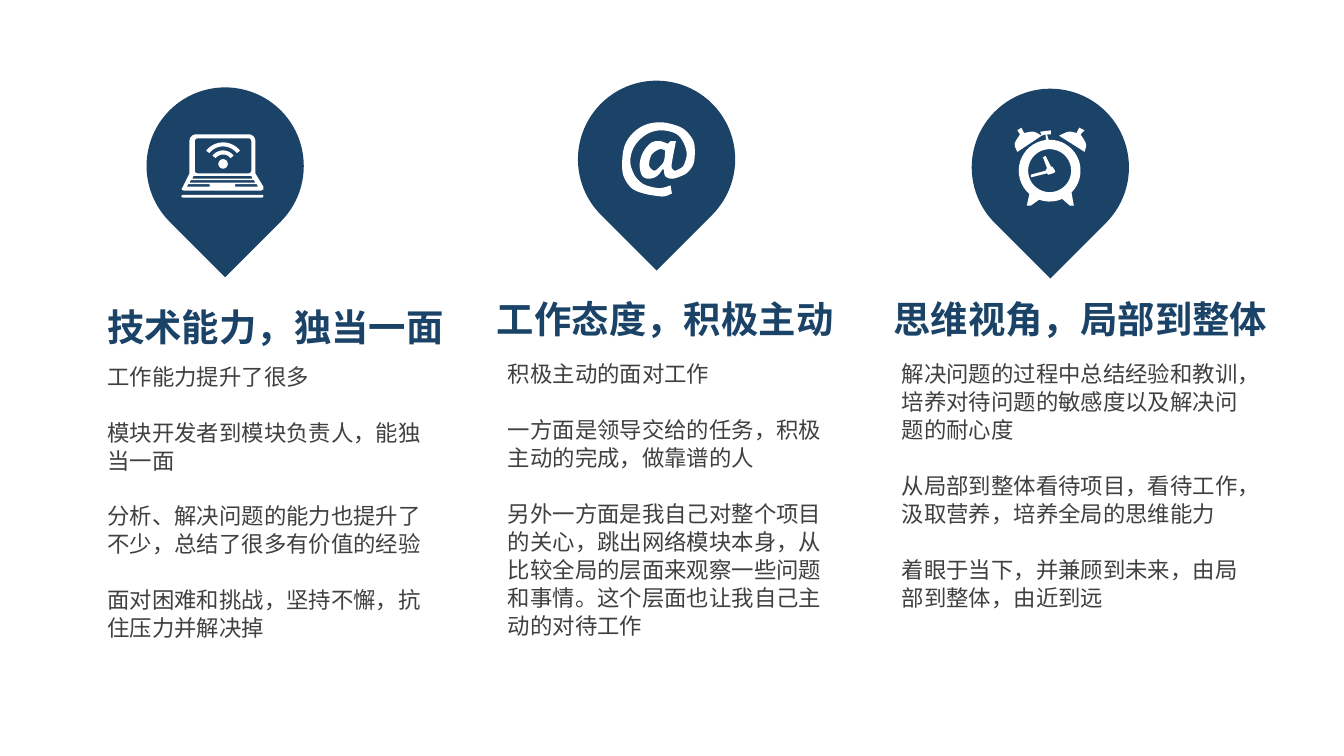
from math import cos, radians, sin

from pptx import Presentation
from pptx.dml.color import RGBColor
from pptx.enum import shapes, text
from pptx.util import Inches, Pt

NAVY, GRAY, WHITE = "1B4367", "404040", "FFFFFF"
FONT = "Noto Sans CJK SC"
SLIDE_WIDTH = Inches(10)
SLIDE_HEIGHT = SLIDE_WIDTH * 9 // 16
PIN_SIZE = 1.17
TITLE = {"size": Pt(20), "bold": True}
BODY = {"size": Pt(12), "bold": False}


def arc(x, y, radius, start=0, end=360):
    """Points on a circle, in degrees clockwise from the right."""
    steps = max(4, abs(end - start) // 8)
    angles = [radians(start + (end - start) * i / steps) for i in range(steps + 1)]
    return [(x + radius * cos(a), y + radius * sin(a)) for a in angles]


def band(x, y, outer, inner):
    return arc(x, y, outer, 218, 322) + arc(x, y, inner, 322, 218)


def rounded(left, top, width, height, radius):
    right, bottom = left + width - radius, top + height - radius
    left, top = left + radius, top + radius
    corners = [(right, bottom), (left, bottom), (left, top), (right, top)]
    return [point for i, (x, y) in enumerate(corners)
            for point in arc(x, y, radius, 90 * i, 90 * i + 90)]


def curve(*points, steps=5):
    """A smooth (Catmull-Rom) line through the points."""
    padded = [points[0], *points, points[-1]]
    line = [points[0]]
    for a, b, c, d in zip(padded, padded[1:], padded[2:], padded[3:]):
        for t in (i / steps for i in range(1, steps + 1)):
            line.append(tuple(
                q + t * (r - p) / 2 + t * t * (2 * p - 5 * q + 4 * r - s) / 2
                + t ** 3 * (3 * q - p - 3 * r + s) / 2
                for p, q, r, s in zip(a, b, c, d)))
    return line


LAPTOP = [
    band(1.66, 1.22, 0.16, 0.13),
    band(1.66, 1.22, 0.1, 0.07),
    arc(1.66, 1.22, 0.035),
    rounded(1.35, 1.45, 0.61, 0.02, 0.01),
    [(1.41, 1.29), *arc(1.46, 1.05, 0.05, 180, 270), *arc(1.85, 1.05, 0.05, 270, 360),
     (1.9, 1.29), (1.96, 1.39), (1.96, 1.41), (1.94, 1.42),
     (1.37, 1.42), (1.35, 1.41), (1.36, 1.39)],
    rounded(1.45, 1.03, 0.42, 0.26, 0.02),
    [(1.44, 1.31), (1.87, 1.31), (1.88, 1.33), (1.43, 1.33)],
    [(1.42, 1.34), (1.89, 1.34), (1.9, 1.36), (1.41, 1.36)],
    [(1.4, 1.37), (1.56, 1.37), (1.56, 1.39), (1.39, 1.39)],
    [(1.75, 1.37), (1.91, 1.37), (1.92, 1.39), (1.75, 1.39)],
]
AT_SIGN = [
    [(4.99, 1.05),
     *curve((5.03, 1.05), (5, 1.21), (5, 1.25), (5.02, 1.27), (5.05, 1.26), (5.08, 1.24),
            (5.1, 1.2), (5.11, 1.14), (5.09, 1.07), (5.05, 1.01), (4.99, 0.98),
            (4.91, 0.97), (4.83, 0.99), (4.76, 1.04), (4.71, 1.11), (4.69, 1.2),
            (4.71, 1.28), (4.75, 1.34), (4.81, 1.38), (4.91, 1.4), (4.99, 1.38)),
     *curve((5, 1.44), (4.95, 1.46), (4.9, 1.46), (4.79, 1.44), (4.7, 1.4), (4.64, 1.31),
            (4.63, 1.2), (4.65, 1.08), (4.71, 0.99), (4.8, 0.93), (4.91, 0.91),
            (5.02, 0.93), (5.1, 0.97), (5.16, 1.05), (5.17, 1.14), (5.16, 1.22),
            (5.12, 1.28), (5.07, 1.31), (5, 1.33), (4.95, 1.31), (4.94, 1.26)),
     *curve((4.93, 1.26), (4.89, 1.31), (4.83, 1.33), (4.78, 1.31), (4.76, 1.24),
            (4.77, 1.17), (4.8, 1.11), (4.85, 1.06), (4.91, 1.05), (4.97, 1.07))],
    curve((4.95, 1.12), (4.91, 1.11), (4.85, 1.15), (4.83, 1.22), (4.84, 1.25),
          (4.87, 1.27), (4.9, 1.25), (4.94, 1.2), (4.95, 1.12)),
]
CLOCK = [
    [*arc(7.81, 1.27, 0.23, 131, 263),
     (7.78, 1), (7.75, 1.01), (7.74, 0.98), (7.82, 0.97), (7.82, 1), (7.79, 1),
     *arc(7.81, 1.27, 0.23, 268, 405), (7.99, 1.53), (7.96, 1.53),
     *arc(7.81, 1.27, 0.23, 66, 110), (7.67, 1.53), (7.64, 1.53)],
    arc(7.81, 1.27, 0.16),
    [*curve((8.01, 0.99), (7.95, 0.98), (7.88, 1.01)),
     *curve((8.07, 1.13), (8.08, 1.07), (8.04, 1)), (8.07, 0.97), (8.03, 0.95)],
    [(7.62, 0.99), (7.6, 0.95), (7.57, 0.97),
     *curve((7.59, 1), (7.55, 1.07), (7.57, 1.13)),
     *curve((7.75, 1.01), (7.69, 0.98), (7.62, 0.99))],
    [(7.78, 1.27), (7.67, 1.3), (7.67, 1.32), (7.79, 1.29),
     *curve((7.8, 1.3), (7.85, 1.28), (7.83, 1.24)),
     (7.82, 1.24), (7.78, 1.16), (7.76, 1.17), (7.79, 1.25)],
]

# Boxes are left, top, width, height in inches
COLUMNS = [
    {"pin": (1.09, 0.65), "icon": LAPTOP,
     "title": "技术能力，独当一面", "title_box": (0.71, 2.22, 2.68, 0.41),
     "body_box": (0.73, 2.65, 2.5, 2.59),
     "body": ["工作能力提升了很多",
              "模块开发者到模块负责人，能独当一面",
              "分析、解决问题的能力也提升了不少，总结了很多有价值的经验",
              "面对困难和挑战，坚持不懈，抗住压力并解决掉"]},
    {"pin": (4.3, 0.6), "icon": AT_SIGN,
     "title": "工作态度，积极主动", "title_box": (3.61, 2.16, 2.68, 0.41),
     "body_box": (3.71, 2.63, 2.5, 2.8),
     "body": ["积极主动的面对工作",
              "一方面是领导交给的任务，积极主动的完成，做靠谱的人",
              "另外一方面是我自己对整个项目的关心，跳出网络模块本身，从比较全局的层面来"
              "观察一些问题和事情。这个层面也让我自己主动的对待工作"]},
    {"pin": (7.23, 0.66), "icon": CLOCK,
     "title": "思维视角，局部到整体", "title_box": (6.56, 2.16, 2.96, 0.41),
     "body_box": (6.64, 2.63, 2.78, 2.17),
     "body": ["解决问题的过程中总结经验和教训，培养对待问题的敏感度以及解决问题的耐心度",
              "从局部到整体看待项目，看待工作，汲取营养，培养全局的思维能力",
              "着眼于当下，并兼顾到未来，由局部到整体，由近到远"]},
]


def paint(shape, color):
    shape.shadow.inherit = False
    shape.fill.solid()
    shape.fill.fore_color.rgb = RGBColor.from_string(color)
    shape.line.fill.background()


def add_pin(slide, left, top):
    pin = slide.shapes.add_shape(shapes.MSO_SHAPE.TEAR, Inches(left), Inches(top),
                                 Inches(PIN_SIZE), Inches(PIN_SIZE))
    pin.rotation = 135
    paint(pin, NAVY)


def add_icon(slide, contours):
    """Draw all contours as one shape, so that inner ones become holes."""
    contours = [[(Inches(x), Inches(y)) for x, y in contour] for contour in contours]
    builder = slide.shapes.build_freeform(*contours[0][0])
    for i, (first, *rest) in enumerate(contours):
        if i:
            builder.move_to(*first)
        builder.add_line_segments(rest, close=True)
    paint(builder.convert_to_shape(), WHITE)


def add_text(slide, box, lines, font, color, wrap, paragraph_format):
    frame = slide.shapes.add_textbox(*map(Inches, box)).text_frame
    frame.word_wrap = wrap
    frame.auto_size = text.MSO_AUTO_SIZE.SHAPE_TO_FIT_TEXT
    frame.margin_left = frame.margin_right = Inches(0.07)
    frame.margin_top = frame.margin_bottom = Inches(0.04)
    for i, line in enumerate(lines):
        paragraph = frame.add_paragraph() if i else frame.paragraphs[0]
        for name, value in paragraph_format.items():
            setattr(paragraph, name, value)
        if i:
            paragraph.space_before = Pt(15)
        run = paragraph.add_run()
        run.text = line
        for name, value in {"name": FONT, **font}.items():
            setattr(run.font, name, value)
        run.font.color.rgb = RGBColor.from_string(color)


def main():
    presentation = Presentation()
    presentation.slide_width, presentation.slide_height = SLIDE_WIDTH, SLIDE_HEIGHT
    slide = presentation.slides.add_slide(presentation.slide_layouts[6])
    for column in COLUMNS:
        add_pin(slide, *column["pin"])
        add_icon(slide, column["icon"])
    for column in COLUMNS:
        add_text(slide, column["title_box"], [column["title"]], TITLE, NAVY, False,
                 {"alignment": text.PP_ALIGN.CENTER})
        add_text(slide, column["body_box"], column["body"], BODY, GRAY, True,
                 {"line_spacing": Pt(15)})
    presentation.save("out.pptx")


if __name__ == "__main__":
    main()
